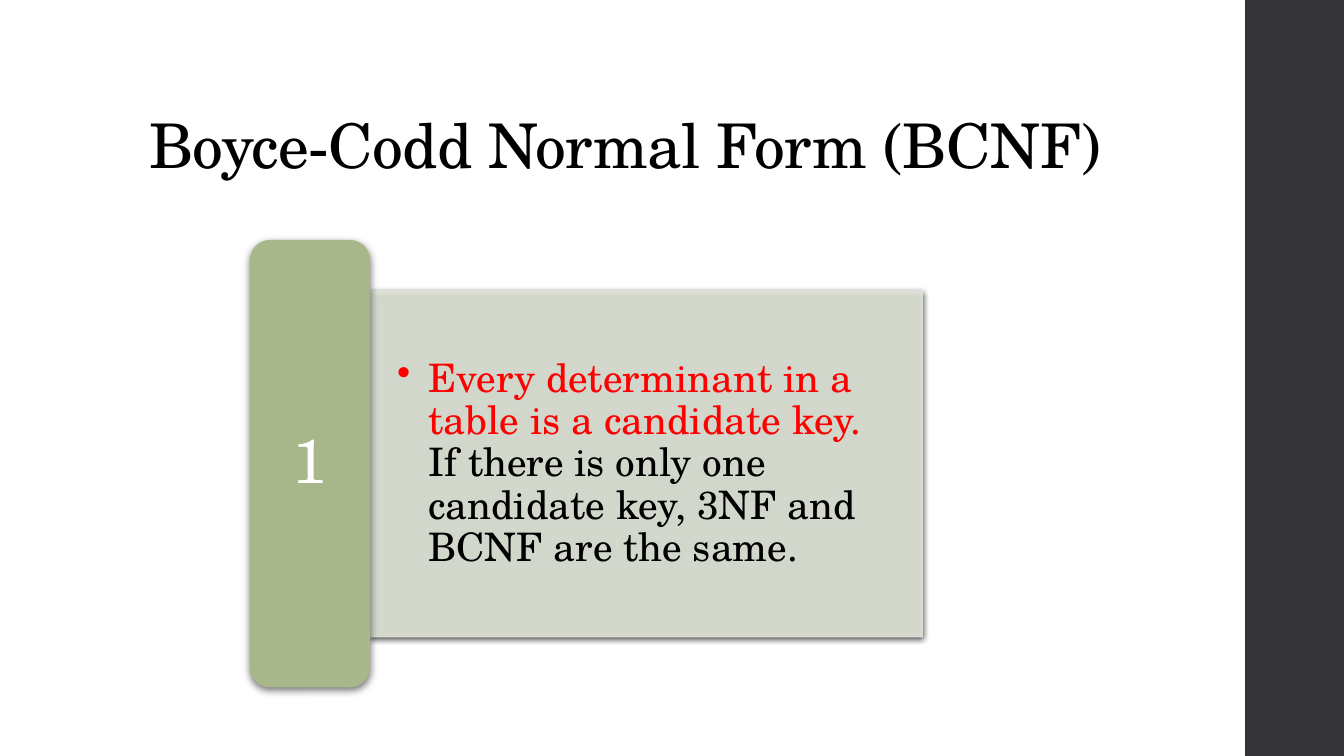
from lxml import etree
from pptx import Presentation
from pptx import util as u
from pptx.dml.color import RGBColor
from pptx.enum import shapes, text
from pptx.oxml import ns

WIDTH, HEIGHT = u.Inches(13.33), u.Inches(7.5)
FONT = "TeX Gyre Schola"
BLACK, WHITE, RED = "000000", "FFFFFF", "FF0000"
CHARCOAL, SAGE, PALE_SAGE = "353537", "A7B789", "E1E6DA"


def color(hex_code):
    return RGBColor.from_string(hex_code)


def area(left, top, width, height):
    """Turn percentages of the slide into a position and a size."""
    return [int(share / 100 * full) for share, full in
            zip((left, top, width, height), (WIDTH, HEIGHT) * 2)]


def add_child(parent, tag, **attributes):
    return etree.SubElement(parent, ns.qn(tag), attributes)


def add_block(slide, kind, box, fill):
    shape = slide.shapes.add_shape(kind, *area(*box))
    shape.shadow.inherit = False
    shape.fill.solid()
    shape.fill.fore_color.rgb = color(fill)
    shape.line.fill.background()
    return shape


def add_shadow(shape, opacity, blur, distance):
    """Cast a black shadow straight down."""
    effects = shape.element.spPr.find(ns.qn("a:effectLst"))
    shadow = add_child(effects, "a:outerShdw", blurRad=str(u.Pt(blur)),
                       dist=str(u.Pt(distance)), dir="5400000",
                       algn="ctr", rotWithShape="0")
    black = add_child(shadow, "a:srgbClr", val=BLACK)
    add_child(black, "a:alpha", val=str(opacity * 1000))


def add_translucent_line(shape, line_color, width, opacity):
    """Outline the shape, and give fill and outline the same opacity."""
    shape.line.color.rgb = color(line_color)
    shape.line.width = u.Pt(width)
    for tint in shape.element.spPr.findall(".//a:solidFill/a:srgbClr", ns._nsmap):
        add_child(tint, "a:alpha", val=str(opacity * 1000))


def write(shape, runs, size, anchor, align, insets):
    """Fill the shape with one paragraph of (words, color) runs."""
    frame = shape.text_frame
    frame.word_wrap = True
    frame.vertical_anchor = anchor
    frame.margin_left = frame.margin_right = u.Inches(insets[0])
    frame.margin_top = frame.margin_bottom = u.Inches(insets[1])
    paragraph = frame.paragraphs[0]
    paragraph.alignment = align
    paragraph.line_spacing = 0.9
    paragraph.font.name = FONT
    paragraph.font.size = u.Pt(size)
    for words, run_color in runs:
        run = paragraph.add_run()
        run.text = words
        run.font.color.rgb = color(run_color)
    return paragraph


def add_bullet(paragraph, indent):
    properties = paragraph._p.get_or_add_pPr()
    properties.set("marL", str(u.Inches(indent)))
    properties.set("indent", str(-u.Inches(indent)))
    bullet = etree.Element(ns.qn("a:buChar"), char="•")
    defaults = properties.find(ns.qn("a:defRPr"))
    defaults.addprevious(bullet)


def main():
    presentation = Presentation()
    presentation.slide_width, presentation.slide_height = WIDTH, HEIGHT
    slide = presentation.slides.add_slide(presentation.slide_layouts[6])
    left, center = text.PP_ALIGN.LEFT, text.PP_ALIGN.CENTER
    middle, bottom = text.MSO_ANCHOR.MIDDLE, text.MSO_ANCHOR.BOTTOM
    rectangle = shapes.MSO_SHAPE.RECTANGLE

    # Side strip and title
    add_block(slide, rectangle, (92.65, 0, 7.5, 100), CHARCOAL)
    title = slide.shapes.add_textbox(*area(10.35, 5.33, 79.5, 19.33))
    heading = write(title, [("Boyce-Codd Normal Form (BCNF)", BLACK)],
                    44, bottom, left, (0.1, 0.05))
    heading.runs[0].font._element.set("spc", "-50")

    # Rule panel
    panel = add_block(slide, rectangle, (27.53, 38.53, 41.1, 45.73), PALE_SAGE)
    add_translucent_line(panel, PALE_SAGE, 0.75, 90)
    add_shadow(panel, 75, 4, 1.2)
    rule = write(panel, [
        ("Every determinant in a table is a candidate key. ", RED),
        ("If there is only one candidate key, 3NF and BCNF are the same.", BLACK),
    ], 28, middle, left, (0.27, 0.14))
    add_bullet(rule, 0.31)

    # Number bar
    bar = add_block(slide, shapes.MSO_SHAPE.ROUNDED_RECTANGLE,
                    (18.6, 31.73, 8.93, 59.2), SAGE)
    add_shadow(bar, 55, 6, 2)
    write(bar, [("1", WHITE)], 44, middle, center, (0.18, 0.09))

    presentation.save("out.pptx")


if __name__ == "__main__":
    main()
